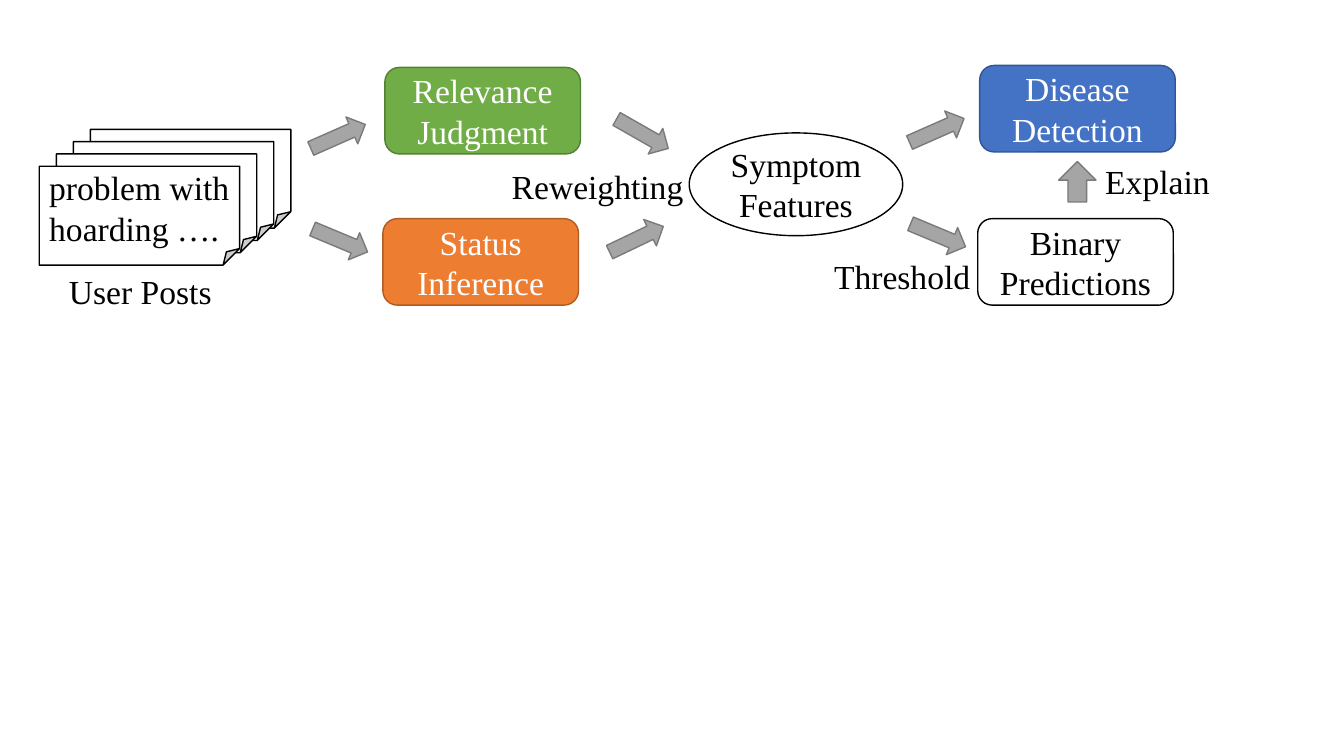
from dataclasses import dataclass

from pptx import Presentation
from pptx import util as u
from pptx.dml.color import RGBColor
from pptx.enum import shapes, text

Kind = shapes.MSO_SHAPE
Side = text.PP_ALIGN

HUES = {
    "black": "000000", "white": "FFFFFF",
    "green": "70AD47", "moss": "538035",
    "orange": "ED7D31", "rust": "AF5C24",
    "blue": "4472C4", "navy": "325491",
    "gray": "A5A5A5", "slate": "7A7A7A",
}


@dataclass
class Box:
    left: float
    top: float
    width: float = 4.93
    height: float = 2.18
    words: str = ""
    kind: Kind = Kind.ROUNDED_RECTANGLE
    fill: str = "white"
    line: str = "black"
    ink: str = "black"
    side: Side = Side.CENTER
    turn: float = 0


@dataclass
class Label:
    left: float
    top: float
    width: float
    words: str


def arrow(left: float, top: float, turn: float,
          width: float = 1.5, height: float = 0.74) -> Box:
    return Box(left, top, width, height, kind=Kind.RIGHT_ARROW,
               fill="gray", line="slate", turn=turn)


def hue(name: str) -> RGBColor:
    return RGBColor.from_string(HUES[name])


def write(frame, words: str, ink: str, side: Side) -> None:
    frame.text = words
    frame.word_wrap = True
    for para in frame.paragraphs:
        para.alignment = side
        para.font.name = "Times New Roman"
        para.font.size = u.Pt(24)
        para.font.color.rgb = hue(ink)


def draw_box(tree, box: Box) -> None:
    shape = tree.add_shape(box.kind, u.Cm(box.left), u.Cm(box.top),
                           u.Cm(box.width), u.Cm(box.height))
    shape.shadow.inherit = False
    shape.rotation = box.turn
    shape.fill.solid()
    shape.fill.fore_color.rgb = hue(box.fill)
    shape.line.color.rgb = hue(box.line)
    shape.line.width = u.Pt(1)
    if box.words:
        shape.text_frame.vertical_anchor = text.MSO_ANCHOR.MIDDLE
        write(shape.text_frame, box.words, box.ink, box.side)


def draw_label(tree, label: Label) -> None:
    frame = tree.add_textbox(u.Cm(label.left), u.Cm(label.top),
                             u.Cm(label.width), u.Cm(1.27)).text_frame
    write(frame, label.words, "black", Side.CENTER)
    frame.auto_size = text.MSO_AUTO_SIZE.SHAPE_TO_FIT_TEXT


def draw_posts(tree, count: int = 4) -> None:
    """Stack the sheets from back to front; only the front one has text."""
    for step in reversed(range(count)):
        words = "" if step else "problem with hoarding …."
        draw_box(tree, Box(0.99 + 0.43 * step, 4.19 - 0.31 * step, 5.05, 2.49,
                           words, Kind.FOLDED_CORNER, side=Side.LEFT))


STEPS = [
    Box(9.7, 1.7, words="Relevance\nJudgment",
        fill="green", line="moss", ink="white"),
    Box(9.65, 5.51, words="Status\nInference",
        fill="orange", line="rust", ink="white"),
    Box(24.69, 1.65, words="Disease\nDetection",
        fill="blue", line="navy", ink="white"),
    Box(17.37, 3.35, 5.38, 2.59, "Symptom\nFeatures", Kind.OVAL),
    Box(24.64, 5.51, words="Binary\nPredictions"),
]

ARROWS = [
    arrow(7.77, 3.07, 336.2),
    arrow(7.82, 5.69, 22.7),
    arrow(15.44, 3, 29.7),
    arrow(15.29, 5.66, 334.4),
    arrow(22.86, 2.92, 336.2),
    arrow(22.89, 5.56, 22.7),
    arrow(26.64, 4.11, 270, 1.02, 0.94),
]

LABELS = [
    Label(1.45, 6.71, 4.17, "User Posts"),
    Label(12.37, 4.06, 5.38, "Reweighting"),
    Label(20.65, 6.32, 4.17, "Threshold"),
    Label(27.33, 3.94, 3.68, "Explain"),
]


def main() -> None:
    deck = Presentation()
    deck.slide_width, deck.slide_height = u.Cm(33.87), u.Cm(19.05)
    tree = deck.slides.add_slide(deck.slide_layouts[6]).shapes
    draw_posts(tree)
    for box in STEPS + ARROWS:
        draw_box(tree, box)
    for label in LABELS:
        draw_label(tree, label)
    deck.save("out.pptx")


if __name__ == "__main__":
    main()
